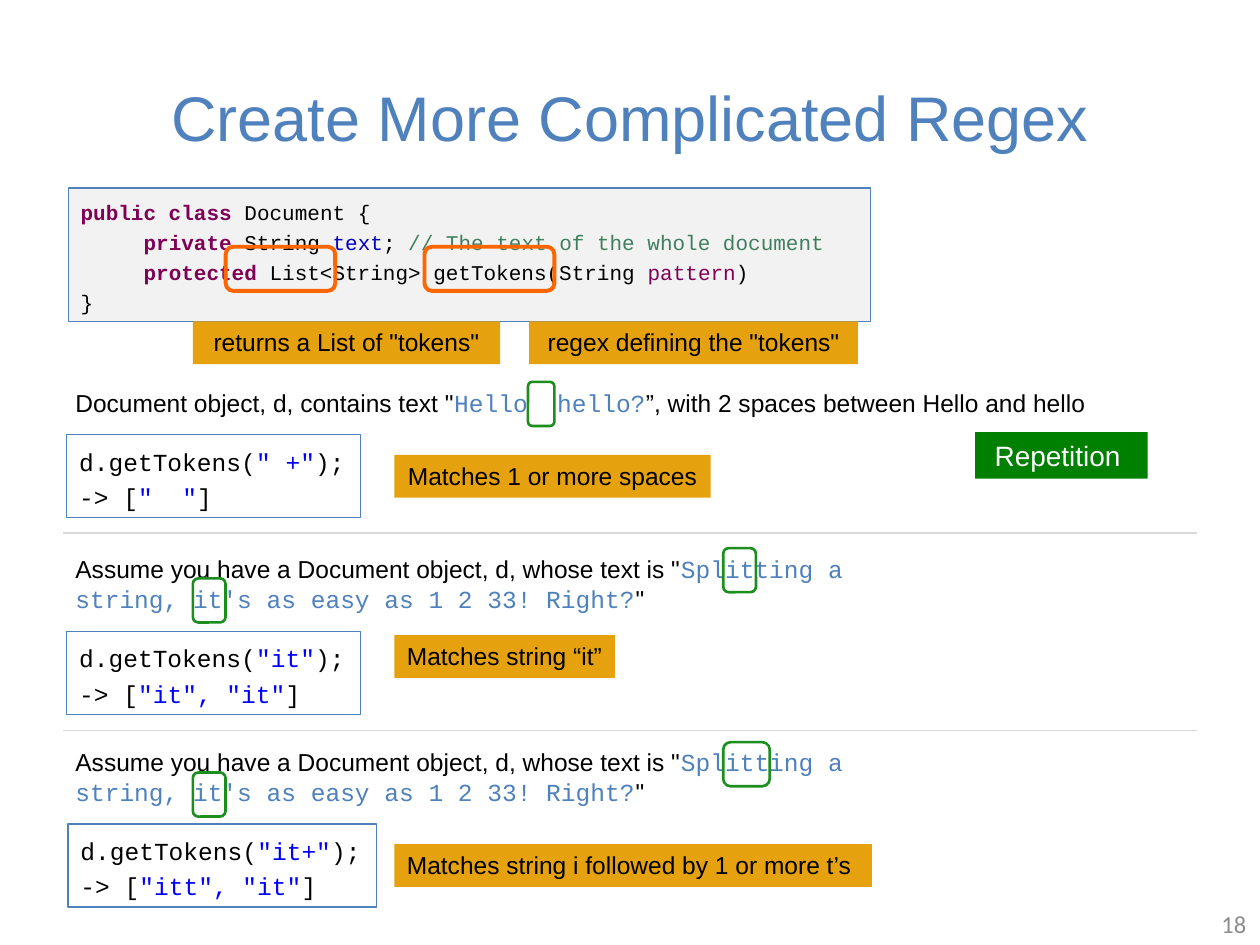
import dataclasses

import lxml.etree
import pptx
import pptx.dml.color
import pptx.enum.shapes
import pptx.enum.text
import pptx.oxml.ns
import pptx.util

Pt = pptx.util.Pt
RGB = pptx.dml.color.RGBColor.from_string
SHAPE = pptx.enum.shapes.MSO_SHAPE
ALIGN = pptx.enum.text.PP_ALIGN
ANCHOR = pptx.enum.text.MSO_ANCHOR
AUTO_SIZE = pptx.enum.text.MSO_AUTO_SIZE


@dataclasses.dataclass(frozen=True)
class Theme:
    sans: str = "Arial"
    mono: str = "Courier New"
    number_font: str = "Calibri"
    black: str = "000000"
    white: str = "FFFFFF"
    blue: str = "4F81BD"
    code_fill: str = "F2F2F2"
    keyword: str = "7F0055"
    field: str = "0000C0"
    comment: str = "3F7F5F"
    literal: str = "0000FF"
    amber: str = "E6A20E"
    orange: str = "FF6600"
    match: str = "1B8E1D"
    topic: str = "008000"
    divider: str = "D9D9D9"
    number: str = "8C8C8C"
    title_size: int = 36
    topic_size: int = 16
    body_size: int = 14
    class_size: int = 12


theme = Theme()


def write(shape, paragraphs, *, size=theme.body_size, font=theme.sans, color=theme.black,
          align=ALIGN.LEFT, anchor=ANCHOR.TOP, spacing=None, wrap=True, fit=True, tab=None):
    """Fill a shape with paragraphs, each a list of (text, run overrides) pairs."""
    frame = shape.text_frame
    frame.word_wrap = wrap
    frame.vertical_anchor = anchor
    frame.auto_size = AUTO_SIZE.SHAPE_TO_FIT_TEXT if fit else AUTO_SIZE.NONE
    for index, runs in enumerate(paragraphs):
        paragraph = frame.add_paragraph() if index else frame.paragraphs[0]
        paragraph.alignment = align
        if spacing:
            paragraph.line_spacing = spacing
        if tab:
            properties = paragraph._p.get_or_add_pPr()
            tabs = lxml.etree.SubElement(properties, pptx.oxml.ns.qn("a:tabLst"))
            lxml.etree.SubElement(tabs, pptx.oxml.ns.qn("a:tab"), pos=str(Pt(tab)), algn="l")
        for text, override in runs:
            run = paragraph.add_run()
            run.text = text
            run.font.size = Pt(size)
            run.font.name = override.get("font", font)
            run.font.bold = override.get("bold", False)
            run.font.color.rgb = RGB(override.get("color", color))


def add_box(place, *, kind=SHAPE.RECTANGLE, fill=None, line=None, weight=0.75):
    shape = slide.shapes.add_shape(kind, *map(Pt, place))
    shape.shadow.inherit = False
    if fill:
        shape.fill.solid()
        shape.fill.fore_color.rgb = RGB(fill)
    else:
        shape.fill.background()
    if line:
        shape.line.color.rgb = RGB(line)
        shape.line.width = Pt(weight)
    else:
        shape.line.fill.background()
    return shape


presentation = pptx.Presentation()
presentation.slide_width, presentation.slide_height = Pt(720), Pt(540)
slide = presentation.slides.add_slide(presentation.slide_layouts[5])

title = slide.shapes.title
title.left, title.top, title.width, title.height = map(Pt, (36, 21.6, 648, 90))
write(title, [[("Create More Complicated Regex", {})]], size=theme.title_size,
      color=theme.blue, align=ALIGN.CENTER, anchor=ANCHOR.MIDDLE, fit=False)

# Class definition
keyword = {"color": theme.keyword, "bold": True}
class_lines = [
    [("public class ", keyword), ("Document {", {})],
    [("\t", {}), ("private", keyword), (" String ", {}), ("text", {"color": theme.field}),
     ("; ", {}), ("// The text of the whole document", {"color": theme.comment})],
    [("\t", {}), ("protected", keyword), (" List<String> getTokens(String ", {}),
     ("pattern", {"color": theme.keyword}), (")", {})],
    [("}", {})],
]
class_box = add_box((39, 107.4, 458.6, 76.4), fill=theme.code_fill, line=theme.blue)
write(class_box, class_lines, size=theme.class_size, font=theme.mono, spacing=1.2, tab=36)

for left, width in ((129, 62.6), (242.6, 74.2)):
    add_box((left, 141, width, 25.2), kind=SHAPE.ROUNDED_RECTANGLE,
            line=theme.orange, weight=2.25)

# Explanations
for left, top, width, align, text in (
    (110.2, 183.6, 175.7, ALIGN.CENTER, 'returns a List of "tokens"'),
    (302.4, 183.6, 187.9, ALIGN.CENTER, 'regex defining the "tokens"'),
    (225.4, 259.9, 180.7, ALIGN.CENTER, "Matches 1 or more spaces"),
    (225.4, 362.9, 126, ALIGN.LEFT, "Matches string “it”"),
    (225.4, 482.4, 272.9, ALIGN.LEFT, "Matches string i followed by 1 or more t’s"),
):
    write(add_box((left, top, width, 24.5), fill=theme.amber), [[(text, {})]], align=align)

# Example sentences, each with its quoted document text
assumption = ('Assume you have a Document object, d, whose text is "',
              "Splitting a string, it's as easy as 1 2 33! Right?", '"')
greeting = ('Document object, d, contains text "', "Hello  hello?",
            "”, with 2 spaces between Hello and hello")
for top, width, height, (before, quoted, after) in (
    (218.2, 684, 24.5, greeting),
    (313.2, 503.3, 41, assumption),
    (423.4, 503.3, 41, assumption),
):
    sentence = slide.shapes.add_textbox(Pt(36), Pt(top), Pt(width), Pt(height))
    write(sentence, [[(before, {}), (quoted, {"font": theme.mono, "color": theme.blue}),
                      (after, {})]])

# Calls and their results
literal = {"color": theme.literal}
for left, top, width, pattern, tokens in (
    (38.2, 248.4, 167.8, '" +"', '"  "'),
    (38.2, 360.7, 167.8, '"it"', '"it", "it"'),
    (38.9, 470.9, 176.4, '"it+"', '"itt", "it"'),
):
    call_box = add_box((left, top, width, 47.5), line=theme.blue)
    write(call_box, [[("d.getTokens(", {}), (pattern, literal), (");", {})],
                     [("-> [", {}), (tokens, literal), ("]", {})]],
          font=theme.mono, spacing=1.2, wrap=False)

# Matched parts of the sentences
for left, top, width in ((301.7, 218.2, 15.1), (413.3, 313.2, 18.7), (110.2, 330.5, 18.7),
                         (413.3, 424.1, 26.6), (110.2, 441.4, 18.7)):
    add_box((left, top, width, 25.2), kind=SHAPE.ROUNDED_RECTANGLE,
            line=theme.match, weight=1.5)

for top in (304.6, 417.6):
    divider = slide.shapes.add_connector(pptx.enum.shapes.MSO_CONNECTOR.STRAIGHT,
                                         Pt(36), Pt(top), Pt(684), Pt(top))
    divider.line.color.rgb = RGB(theme.divider)
    divider.line.width = Pt(0.75)
    lxml.etree.SubElement(divider._element.spPr, pptx.oxml.ns.qn("a:effectLst"))

page_number = slide.shapes.add_textbox(Pt(673.9), Pt(513.4), Pt(45.4), Pt(28.8))
write(page_number, [[("18", {})]], font=theme.number_font, color=theme.number,
      align=ALIGN.RIGHT, anchor=ANCHOR.MIDDLE, fit=False)

topic = add_box((557.3, 247, 98.6, 26.6), fill=theme.topic)
write(topic, [[("Repetition ", {})]], size=theme.topic_size, color=theme.white,
      align=ALIGN.CENTER)

presentation.save("out.pptx")
